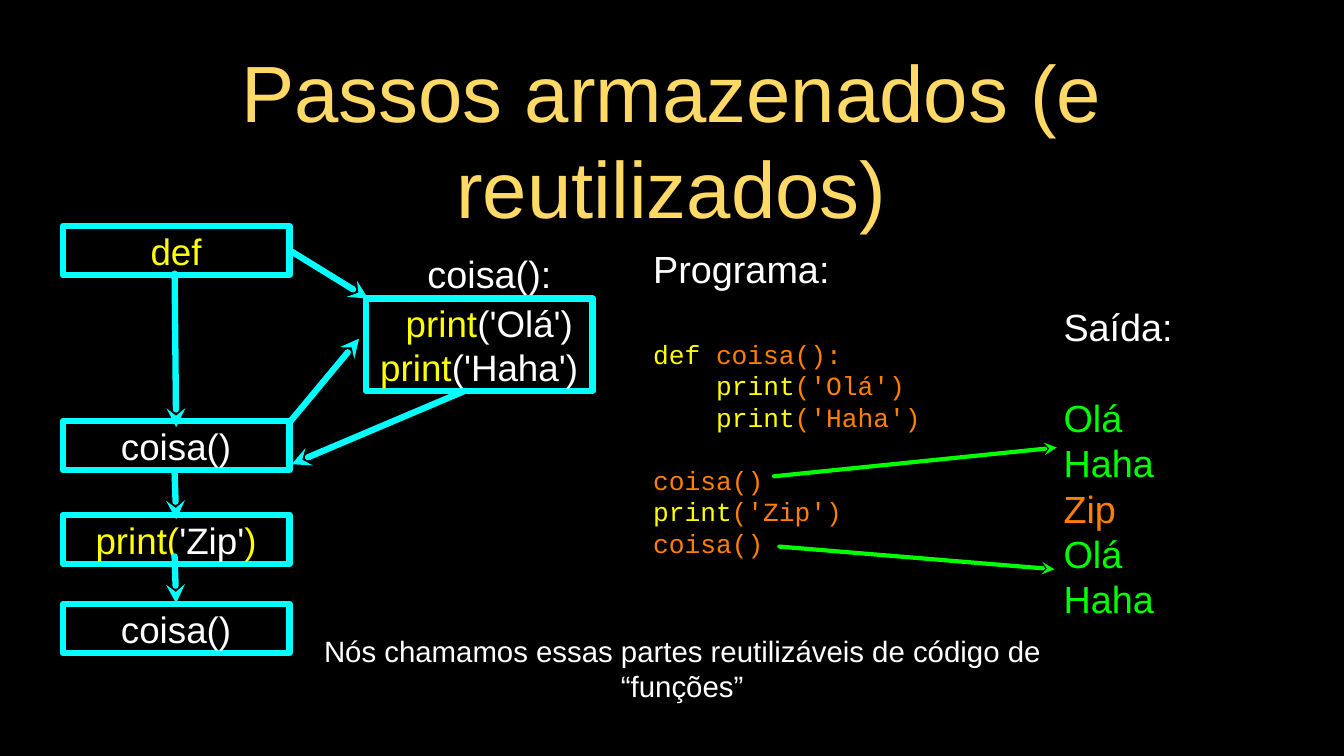
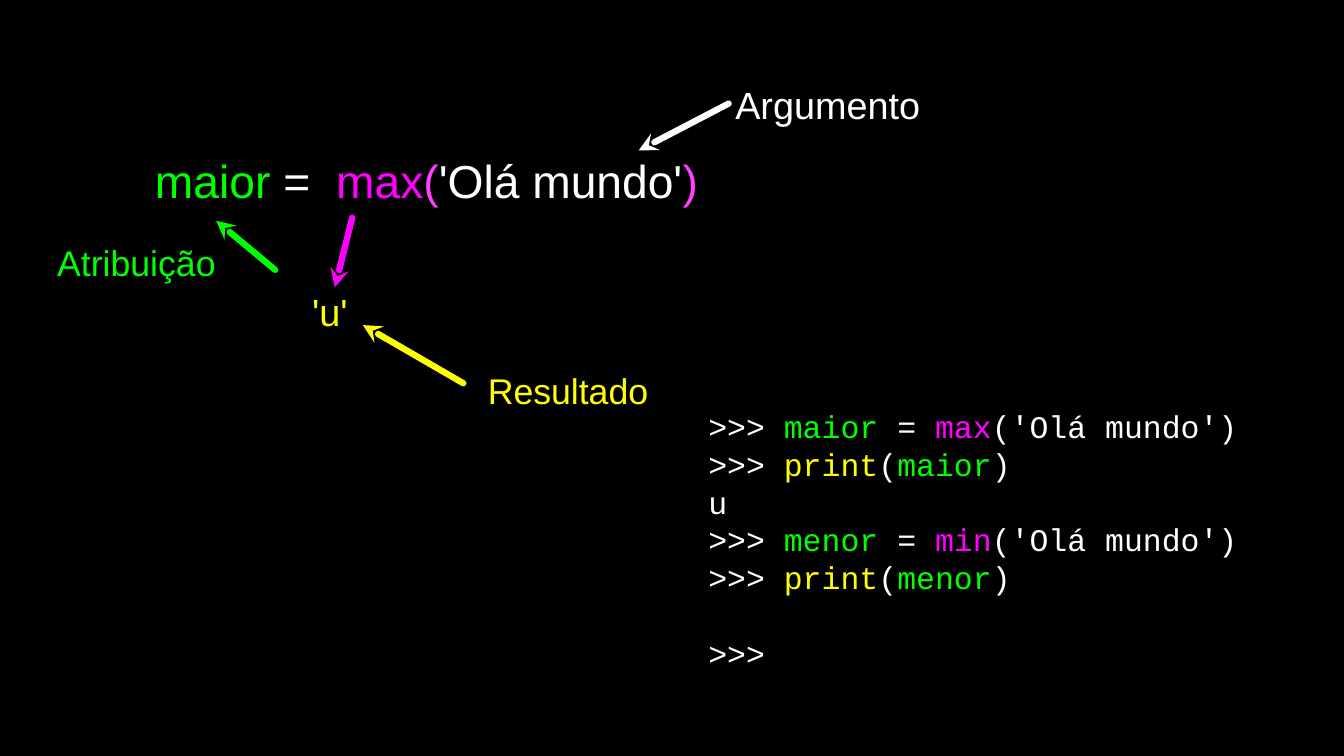
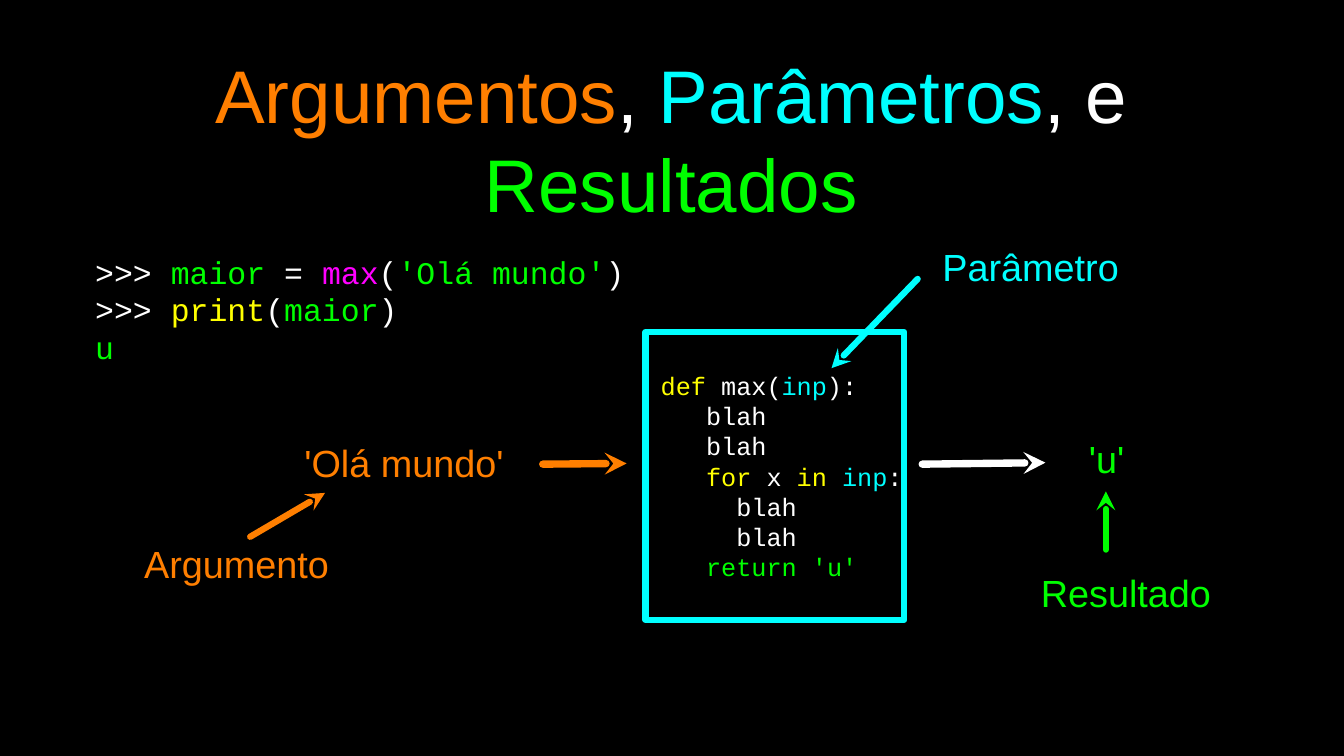
from lxml import etree
from pptx import Presentation
from pptx.dml.color import RGBColor
from pptx.enum.shapes import MSO_CONNECTOR, MSO_SHAPE
from pptx.enum.text import MSO_ANCHOR, MSO_AUTO_SIZE, PP_ALIGN
from pptx.oxml.ns import qn
from pptx.util import Inches, Pt

BLACK = RGBColor(0, 0, 0)
WHITE = RGBColor(255, 255, 255)
GOLD = RGBColor(0xFF, 0xD9, 0x66)
CYAN = RGBColor(0, 255, 255)
YELLOW = RGBColor(255, 255, 0)
ORANGE = RGBColor(0xFF, 0x7F, 0)
GREEN = RGBColor(0, 255, 0)
MAGENTA = RGBColor(255, 0, 255)
PINK = RGBColor(0xFF, 0x40, 0xFF)

SANS, MONO = "Arial", "Courier New"
LEADING = 1.2
MONO_WIDTH = 0.6
LEFT, CENTER = PP_ALIGN.LEFT, PP_ALIGN.CENTER
TITLE_LAYOUT, BLANK_LAYOUT = 5, 6


def line(*parts, indent=0, before=0):
    """Describe a paragraph: alternating text and colour, with indent and space above in points."""
    return list(zip(parts[::2], parts[1::2])), indent, before


def write(shape, lines, size, font=SANS, align=CENTER, inset=0):
    """Fill a shape's text frame with coloured paragraphs."""
    tf = shape.text_frame
    tf.word_wrap = True
    tf.auto_size = MSO_AUTO_SIZE.NONE
    tf.vertical_anchor = MSO_ANCHOR.MIDDLE
    tf.margin_left = tf.margin_right = Inches(inset)
    tf.margin_top = tf.margin_bottom = Inches(inset)
    for i, (runs, indent, before) in enumerate(lines):
        p = tf.add_paragraph() if i else tf.paragraphs[0]
        p.alignment = align
        p.line_spacing = Pt(LEADING * size)
        p.space_before = Pt(before)
        if indent:
            p._p.get_or_add_pPr().set("marL", str(Pt(indent)))
        for text, color in runs:
            r = p.add_run()
            r.text = text
            r.font.name = font
            r.font.size = Pt(size)
            r.font.color.rgb = color


def add_title(s, size, *parts):
    """Place the slide title."""
    title = s.shapes.title
    title.left, title.top = Inches(1.26), Inches(0.88)
    title.width, title.height = Inches(15.24), Inches(1.9)
    write(title, [line(*parts)], size, inset=0.04)


def add_text(s, x, y, w, h, lines, size, font=SANS, align=LEFT):
    """Add a text box with several paragraphs."""
    box = s.shapes.add_textbox(Inches(x), Inches(y), Inches(w), Inches(h))
    write(box, lines, size, font, align)


def add_label(s, x, y, w, text, color, size=36):
    """Add a centred caption."""
    add_text(s, x, y, w, 0.68, [line(text, color)], size, align=CENTER)


def add_box(s, x, y, w, h, lines, size=35, font=SANS, align=CENTER):
    """Add a cyan outlined box with text."""
    box = s.shapes.add_shape(MSO_SHAPE.RECTANGLE, Inches(x), Inches(y), Inches(w), Inches(h))
    box.shadow.inherit = False
    box.fill.background()
    box.line.color.rgb = CYAN
    box.line.width = Pt(6)
    write(box, lines, size, font, align)


def add_arrow(s, x1, y1, x2, y2, color, width=6):
    """Draw an arrow that points at its second end."""
    c = s.shapes.add_connector(
        MSO_CONNECTOR.STRAIGHT, Inches(x1), Inches(y1), Inches(x2), Inches(y2))
    c.line.color.rgb = color
    c.line.width = Pt(width)
    ln = c.line._get_or_add_ln()
    ln.set("cap", "rnd")
    etree.SubElement(ln, qn("a:round"))
    etree.SubElement(ln, qn("a:tailEnd"), type="stealth")
    etree.SubElement(c._element.spPr, qn("a:effectLst"))


def assign_line(name, function, text_color=WHITE):
    """Return the console line that assigns a function's result."""
    return line(">>> ", WHITE, name, GREEN, " = ", WHITE, function, MAGENTA,
                "(", WHITE, "'Olá mundo'", text_color, ")", WHITE)


def print_line(name):
    """Return the console line that prints a variable."""
    return line(">>> ", WHITE, "print", YELLOW, "(", WHITE, name, GREEN, ")", WHITE)


def stored_steps_slide(prs):
    """Build the slide on stored and reused steps."""
    s = prs.slides.add_slide(prs.slide_layouts[TITLE_LAYOUT])
    add_title(s, 76, "Passos armazenados (e reutilizados)", GOLD)
    steps = [
        (2.99, line("def", YELLOW)),
        (5.57, line("coisa()", WHITE)),
        (6.81, line("print(", YELLOW, "'Zip'", WHITE, ")", YELLOW)),
        (7.99, line("coisa()", WHITE)),
    ]
    for y, step in steps:
        add_box(s, 0.83, y, 3, 0.65, [step])
    add_label(s, 5.51, 3.28, 1.93, "coisa():", WHITE)
    add_box(s, 4.84, 3.95, 3, 1.22, [
        line("print", YELLOW, "('Olá')", WHITE, indent=19.4),
        line("print", YELLOW, "('Haha')", WHITE),
    ])
    for y1, y2 in [(3.62, 5.65), (6.25, 6.87), (7.36, 7.98)]:
        add_arrow(s, 2.31, y1, 2.33, y2, CYAN)
    add_arrow(s, 3.83, 3.31, 4.87, 3.95, CYAN)
    add_arrow(s, 3.82, 5.6, 4.75, 4.48, CYAN)
    add_arrow(s, 6.15, 5.17, 3.86, 6.14, CYAN)

    size, tab = 25, 4 * MONO_WIDTH * 25
    add_text(s, 8.64, 3.25, 3.92, 0.6, [line("Programa:", WHITE)], 36)
    add_text(s, 8.64, 4.45, 3.92, 2.96, [
        line("def", YELLOW, " coisa():", ORANGE),
        line("print", YELLOW, "('Olá')", ORANGE, indent=tab),
        line("print", YELLOW, "('Haha')", ORANGE, indent=tab),
        line("coisa()", ORANGE, before=LEADING * size),
        line("print", YELLOW, "('Zip')", ORANGE),
        line("coisa()", ORANGE),
    ], size, MONO)
    add_text(s, 14.07, 4.07, 3.46, 4.1, [
        line("Saída:", WHITE),
        line("Olá", GREEN, before=LEADING * 36),
        line("Haha", GREEN),
        line("Zip", ORANGE),
        line("Olá", GREEN),
        line("Haha", GREEN),
    ], 36)
    add_arrow(s, 10.24, 6.3, 13.98, 5.92, GREEN, 4)
    add_arrow(s, 10.31, 7.23, 13.95, 7.53, GREEN, 4)
    add_text(s, 4.21, 8.5, 9.63, 0.68, [line(
        "Nós chamamos essas partes reutilizáveis de código de “funções”", WHITE)],
        28, align=CENTER)


def function_call_slide(prs):
    """Build the slide on the parts of a function call."""
    s = prs.slides.add_slide(prs.slide_layouts[BLANK_LAYOUT])
    add_text(s, 2.05, 1.86, 9.35, 1.03, [line(
        "maior", GREEN, " =  ", WHITE, "max", MAGENTA, "(", PINK,
        "'Olá mundo'", WHITE, ")", PINK)], 44)
    add_label(s, 9.64, 1.04, 2.62, "Argumento", WHITE)
    add_arrow(s, 9.64, 1.37, 8.45, 1.99, WHITE)
    add_label(s, 0.37, 3.13, 2.87, "Atribuição", GREEN, 34)
    add_arrow(s, 3.64, 3.57, 2.86, 2.92, GREEN)
    add_text(s, 4.13, 3.78, 0.67, 0.68, [line("'u'", YELLOW)], 36)
    add_arrow(s, 4.66, 2.88, 4.43, 3.8, MAGENTA)
    add_label(s, 6.29, 4.82, 2.45, "Resultado", YELLOW, 34)
    add_arrow(s, 6.13, 5.07, 4.8, 4.3, YELLOW)
    add_text(s, 9.37, 5.33, 7.64, 3.61, [
        assign_line("maior", "max"),
        print_line("maior"),
        line("u", WHITE),
        assign_line("menor", "min"),
        print_line("menor"),
        line(">>>", WHITE, before=LEADING * 30),
    ], 30, MONO)


def parameters_slide(prs):
    """Build the slide on arguments, parameters and results."""
    s = prs.slides.add_slide(prs.slide_layouts[TITLE_LAYOUT])
    add_title(s, 71, "Argumentos", ORANGE, ", ", WHITE, "Parâmetros", CYAN,
              ", e ", WHITE, "Resultados", GREEN)
    add_text(s, 1.26, 3.18, 8.26, 1.82, [
        assign_line("maior", "max", GREEN),
        print_line("maior"),
        line("u", GREEN),
    ], 30, MONO)

    size = 24
    margin, body, inner = (n * MONO_WIDTH * size for n in (1, 4, 6))
    add_box(s, 8.54, 4.39, 3.42, 3.81, [
        line("def", YELLOW, " max(", WHITE, "inp", CYAN, "):", WHITE, indent=margin),
        *[line("blah", WHITE, indent=body)] * 2,
        line("for", YELLOW, " x ", WHITE, "in ", YELLOW, "inp", CYAN, ":", WHITE, indent=body),
        *[line("blah", WHITE, indent=inner)] * 2,
        line("return 'u'", GREEN, indent=body),
    ], size, MONO, LEFT)

    add_label(s, 3.86, 5.78, 3.11, "'Olá mundo' ", ORANGE)
    add_arrow(s, 7.18, 6.14, 8.29, 6.13, ORANGE, 7)
    add_label(s, 1.86, 7.11, 2.54, "Argumento", ORANGE)
    add_arrow(s, 3.31, 7.1, 4.3, 6.52, ORANGE)
    add_label(s, 12.28, 3.18, 2.71, "Parâmetro", CYAN)
    add_arrow(s, 12.14, 3.69, 11, 4.87, CYAN)
    add_label(s, 14.29, 5.72, 0.7, "'u'", GREEN)
    add_arrow(s, 12.2, 6.14, 13.83, 6.12, WHITE, 7)
    add_label(s, 13.7, 7.49, 2.39, "Resultado", GREEN)
    add_arrow(s, 14.63, 7.27, 14.63, 6.5, GREEN)


def main():
    """Build and save the presentation."""
    prs = Presentation()
    prs.slide_width, prs.slide_height = Inches(17.78), Inches(10)
    fill = prs.slide_master.background.fill
    fill.solid()
    fill.fore_color.rgb = BLACK
    stored_steps_slide(prs)
    function_call_slide(prs)
    parameters_slide(prs)
    prs.save("out.pptx")


main()
